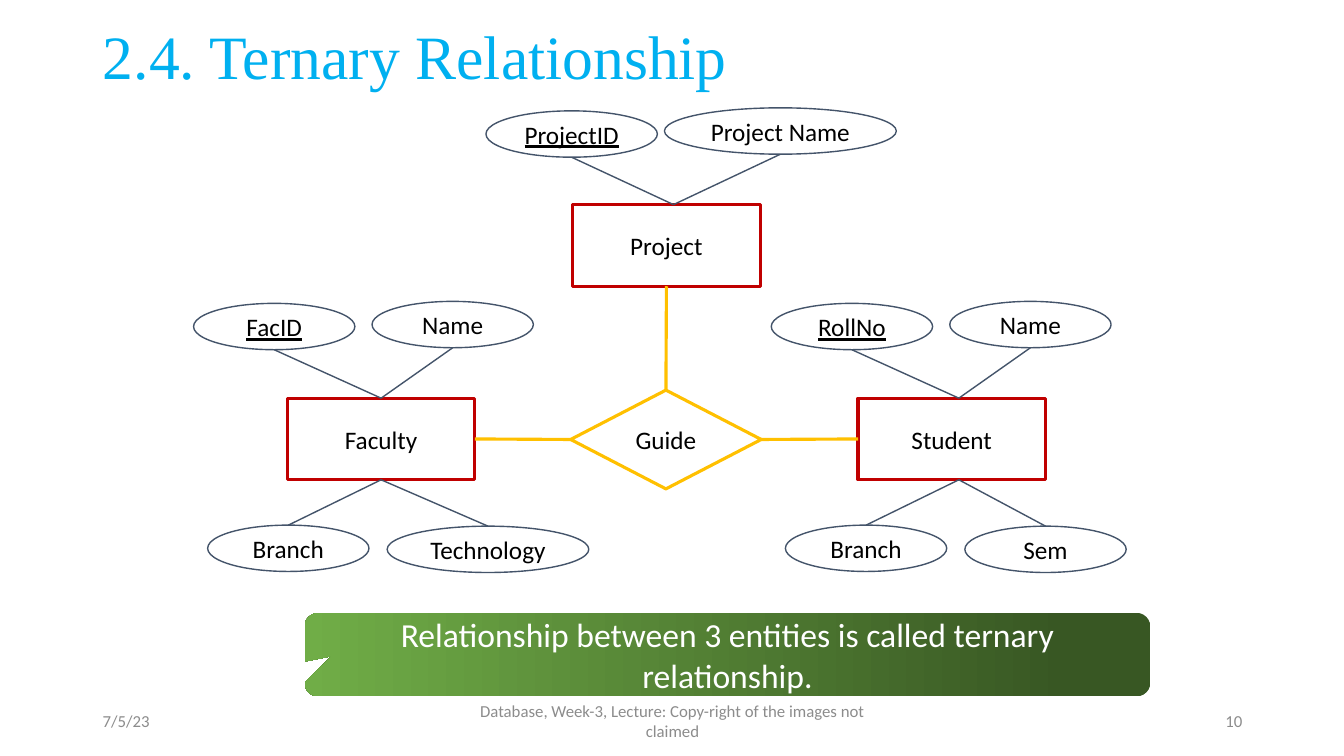
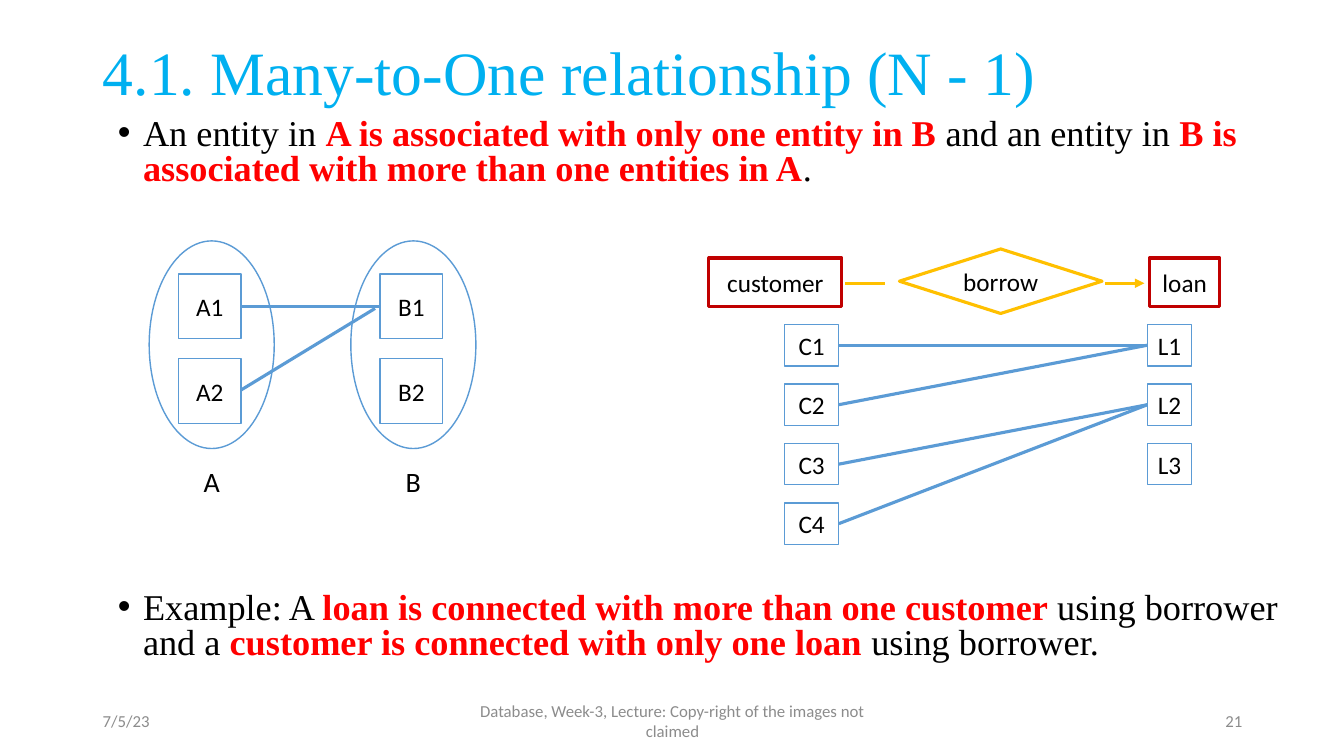
from lxml import etree
from pptx import Presentation
from pptx.dml.color import RGBColor
from pptx.enum.shapes import MSO_CONNECTOR, MSO_SHAPE
from pptx.enum.text import MSO_ANCHOR, MSO_AUTO_SIZE, PP_ALIGN
from pptx.oxml.ns import qn
from pptx.util import Inches, Pt

RECT, OVAL, DIAMOND = MSO_SHAPE.RECTANGLE, MSO_SHAPE.OVAL, MSO_SHAPE.DIAMOND
CALLOUT = MSO_SHAPE.ROUNDED_RECTANGULAR_CALLOUT
STRAIGHT = MSO_CONNECTOR.STRAIGHT
TOP, MIDDLE = MSO_ANCHOR.TOP, MSO_ANCHOR.MIDDLE
LEFT, CENTER, RIGHT = PP_ALIGN.LEFT, PP_ALIGN.CENTER, PP_ALIGN.RIGHT
NO_FIT = MSO_AUTO_SIZE.NONE

SLIDE_W, SLIDE_H = 13.33, 7.5
SANS, SERIF = "Calibri", "Times New Roman"
THIN, THICK = 1, 2.25
COLORS = {
    "title": "00B0F0", "text": "000000", "accent": "FF0000", "footer": "8C8C8C",
    "white": "FFFFFF", "entity": "C00000", "relation": "FFC000",
    "attribute": "44546A", "set": "5B9BD5",
    "note_dark": "385723", "note_light": "70AD47",
}

DATE = "7/5/23"
FOOTER = "Database, Week-3, Lecture: Copy-right of the images not claimed"

TERNARY = {"title": "2.4. Ternary Relationship", "title_top": -0.13, "number": "10"}
ENTITY_W, ENTITY_H, ATTRIBUTE_H = 1.86, 0.81, 0.46
GUIDE = (5.66, 3.87, 1.89, 0.98)
ENTITIES = [
    {"name": "Faculty", "at": (2.85, 3.95), "hub": 3.78, "key": "FacID", "attributes": [
        ("FacID", -1.06, -0.94, 1.6), ("Name", 0.71, -0.96, 1.6),
        ("Branch", -0.92, 1.26, 1.6), ("Technology", 1.06, 1.27, 2)]},
    {"name": "Student", "at": (8.51, 3.95), "hub": 9.51, "key": "RollNo", "attributes": [
        ("RollNo", -1.06, -0.94, 1.6), ("Name", 0.71, -0.96, 1.6),
        ("Branch", -0.92, 1.26, 1.6), ("Sem", 0.86, 1.27, 1.6)]},
    {"name": "Project", "at": (5.68, 2.03), "hub": 6.68, "key": "ProjectID", "attributes": [
        ("ProjectID", -1.01, -0.93, 1.7), ("Project Name", 1.06, -0.96, 2.3)]},
]
NOTE = "Relationship between 3 entities is called ternary relationship."

MANY_TO_ONE = {"title": "4.1. Many-to-One relationship (N - 1)", "title_top": 0.02, "number": "21"}
BULLETS = [
    (1.13, [("An entity in ", False), ("A is associated with only one entity in B ", True),
            ("and an entity in ", False),
            ("B is associated with more than one entities in A", True), (".", False)]),
    (5.83, [("Example: A ", False), ("loan is connected with more than one customer ", True),
            ("using borrower and a ", False),
            ("customer is connected with only one loan ", True), ("using borrower.", False)]),
]
SETS = [("A", ["A1", "A2"]), ("B", ["B1", "B2"])]
SET_LINKS = [((2.39, 3.04), (3.77, 3.04)), ((2.39, 3.87), (3.72, 3.06))]
HEADINGS = [
    ("customer", RECT, "entity", (7.03, 2.56, 1.32, 0.48)),
    ("borrow", DIAMOND, "relation", (8.92, 2.47, 2.01, 0.64)),
    ("loan", RECT, "entity", (11.4, 2.56, 0.7, 0.48)),
]
MEMBER_COLUMNS = [
    (7.78, 0.54, ["C1", "C2", "C3", "C4"]),
    (11.38, 0.44, ["L1", "L2", "L3"]),
]
MEMBER_TOP, MEMBER_H, MEMBER_PITCH = 3.22, 0.41, 0.59
BORROWINGS = [("C1", "L1"), ("C2", "L1"), ("C3", "L2"), ("C4", "L2")]


def rgb(name):
    return RGBColor.from_string(COLORS[name])


def write(shape, runs, size=18, font=SANS, color="text", align=CENTER, anchor=MIDDLE,
          underline=False, spacing=None, bullet=False, inset=None):
    frame = shape.text_frame
    frame.word_wrap = True
    frame.auto_size = NO_FIT
    frame.vertical_anchor = anchor
    if inset is not None:
        frame.margin_left = frame.margin_right = Inches(inset)
        frame.margin_top = frame.margin_bottom = Inches(inset)
    paragraph = frame.paragraphs[0]
    paragraph.alignment = align
    if bullet:
        properties = paragraph._p.get_or_add_pPr()
        properties.set("marL", str(Inches(0.25)))
        properties.set("indent", str(-Inches(0.25)))
        etree.SubElement(properties, qn("a:buFont")).set("typeface", "Arial")
        etree.SubElement(properties, qn("a:buChar")).set("char", "•")
    if spacing:
        paragraph.line_spacing = spacing
    for text, strong in [(runs, False)] if isinstance(runs, str) else runs:
        run = paragraph.add_run()
        run.text = text
        run.font.name = font
        run.font.size = Pt(size)
        run.font.bold = strong
        run.font.underline = underline
        run.font.color.rgb = rgb("accent" if strong else color)


def add_text(slide, box, runs, **style):
    write(slide.shapes.add_textbox(*map(Inches, box)), runs, **style)


def add_node(slide, kind, box, line, text="", width=THIN, fill="white", **style):
    node = slide.shapes.add_shape(kind, *map(Inches, box))
    node.shadow.inherit = False
    if fill:
        node.fill.solid()
        node.fill.fore_color.rgb = rgb(fill)
    else:
        node.fill.background()
    node.line.color.rgb = rgb(line)
    node.line.width = Pt(width)
    if text:
        write(node, text, inset=0, **style)


def add_link(slide, start, end, color, width=THICK, arrow=False):
    link = slide.shapes.add_connector(STRAIGHT, *map(Inches, (*start, *end)))
    link.line.color.rgb = rgb(color)
    link.line.width = Pt(width)
    if arrow:
        etree.SubElement(link.line._get_or_add_ln(), qn("a:tailEnd")).set("type", "triangle")
    etree.SubElement(link._element.spPr, qn("a:effectLst"))


def side(box, x_share, y_share):
    left, top, width, height = box
    return left + width * x_share, top + height * y_share


def start_slide(deck, content):
    slide = deck.slides.add_slide(deck.slide_layouts[5])
    title = slide.shapes.title
    title.left, title.top, title.width, title.height = map(
        Inches, (0.92, content["title_top"], 11.5, 1.45))
    write(title, content["title"], size=44, font=SERIF, color="title", align=LEFT, spacing=0.9)
    for text, left, width, align in [(DATE, 0.92, 3, LEFT), (FOOTER, 4.42, 4.5, CENTER),
                                     (content["number"], 9.42, 3, RIGHT)]:
        add_text(slide, (left, 6.95, width, 0.4), text, size=12, color="footer", align=align)
    return slide


def add_entity(slide, entity):
    left, top = entity["at"]
    add_node(slide, RECT, (left, top, ENTITY_W, ENTITY_H), "entity", entity["name"],
             width=THICK, fill=None)
    for name, dx, dy, width in entity["attributes"]:
        above = dy < 0
        oval = (entity["hub"] + dx - width / 2, top + dy, width, ATTRIBUTE_H)
        hub = (entity["hub"], top if above else top + ENTITY_H)
        add_link(slide, side(oval, 0.5, 1 if above else 0), hub, "attribute", THIN)
        add_node(slide, OVAL, oval, "attribute", name, underline=name == entity["key"])


def add_note(slide):
    note = slide.shapes.add_shape(CALLOUT, *map(Inches, (3.02, 6.08, 8.39, 0.83)))
    note.shadow.inherit = False
    for index, value in enumerate((-0.468, 0.019, 0.167)):
        note.adjustments[index] = value
    note.line.fill.background()
    note.fill.gradient()
    note.fill.gradient_angle = 180
    for stop, position, color in zip(note.fill.gradient_stops, (0.1, 1),
                                     ("note_dark", "note_light")):
        stop.position = position
        stop.color.rgb = rgb(color)
    write(note, NOTE, size=24, color="white")


def build_ternary(deck):
    slide = start_slide(deck, TERNARY)
    add_node(slide, DIAMOND, GUIDE, "relation", "Guide", width=THICK, fill=None)
    for entity in ENTITIES:
        add_entity(slide, entity)
    faculty, student, project = [(*entity["at"], ENTITY_W, ENTITY_H) for entity in ENTITIES]
    for entity_end, guide_end in [
            (side(faculty, 1, 0.5), side(GUIDE, 0, 0.5)),
            (side(student, 0, 0.5), side(GUIDE, 1, 0.5)),
            (side(project, 0.5, 1), side(GUIDE, 0.5, 0))]:
        add_link(slide, entity_end, guide_end, "relation")
    add_note(slide)


def build_many_to_one(deck):
    slide = start_slide(deck, MANY_TO_ONE)
    for top, runs in BULLETS:
        add_text(slide, (1.07, top, 12.15, 0.85), runs, size=25.9, font=SERIF, align=LEFT,
                 anchor=TOP, spacing=0.8, bullet=True)

    for column, (name, members) in enumerate(SETS):
        left = 1.48 + 2 * column
        add_node(slide, OVAL, (left, 2.39, 1.24, 2.06), "set")
        for row, member in enumerate(members):
            add_node(slide, RECT, (left + 0.29, 2.72 + 0.84 * row, 0.62, 0.64), "set", member)
        add_text(slide, (left, 4.56, 1.24, 0.44), name, size=20, anchor=TOP)
    for start, end in SET_LINKS:
        add_link(slide, start, end, "set")

    for name, kind, color, box in HEADINGS:
        add_node(slide, kind, box, color, name, width=THICK, fill=None)
    add_link(slide, (8.38, 2.81), (8.78, 2.81), "relation")
    add_link(slide, (10.96, 2.81), (11.35, 2.81), "relation", arrow=True)

    boxes = {}
    for left, width, members in MEMBER_COLUMNS:
        for row, member in enumerate(members):
            boxes[member] = (left, MEMBER_TOP + MEMBER_PITCH * row, width, MEMBER_H)
            add_node(slide, RECT, boxes[member], "set", member)
    for customer, loan in BORROWINGS:
        add_link(slide, side(boxes[customer], 1, 0.5), side(boxes[loan], 0, 0.5), "set")


def main():
    deck = Presentation()
    deck.slide_width, deck.slide_height = Inches(SLIDE_W), Inches(SLIDE_H)
    build_ternary(deck)
    build_many_to_one(deck)
    deck.save("out.pptx")


if __name__ == "__main__":
    main()
